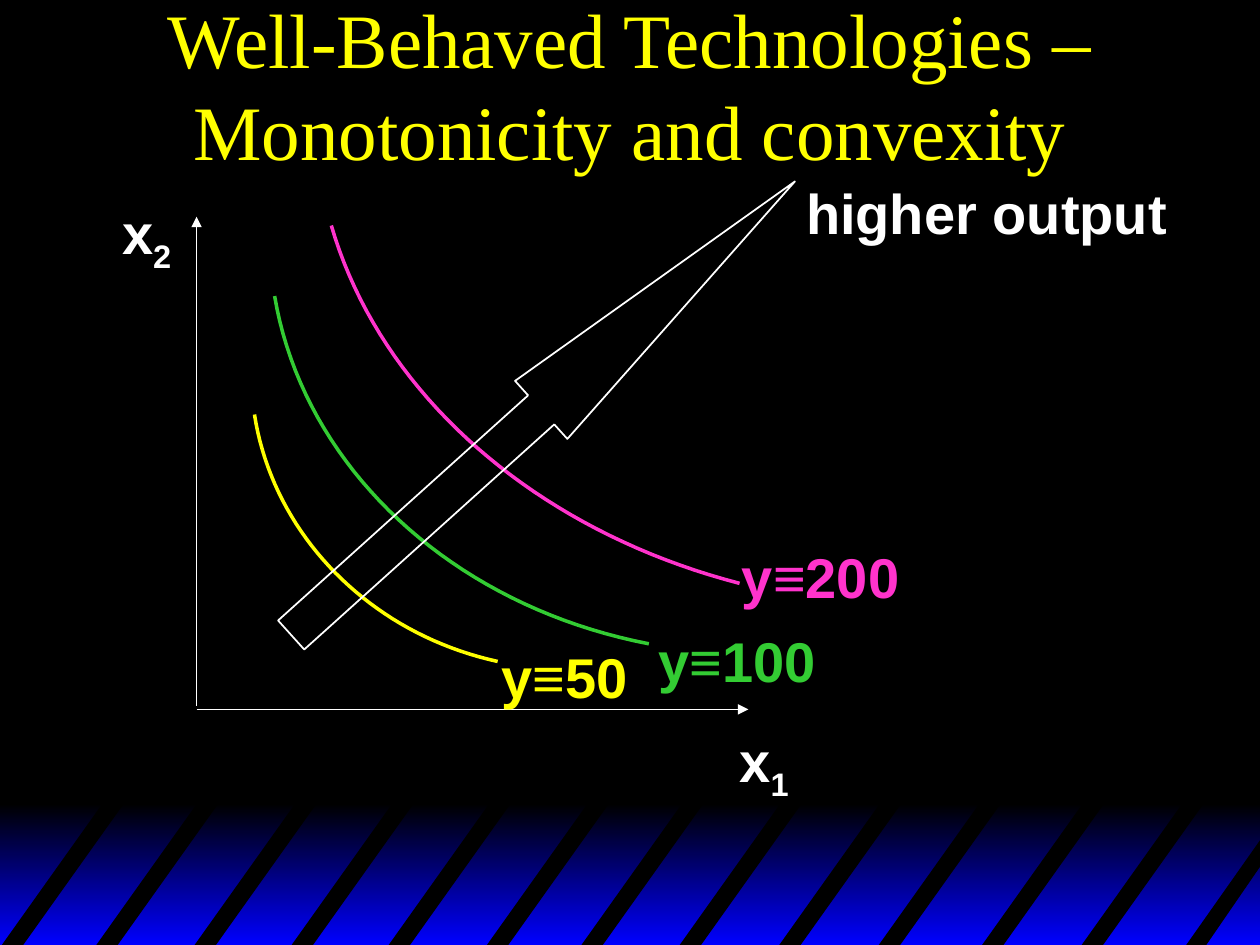
from lxml import etree
from pptx import Presentation
from pptx.dml.color import RGBColor
from pptx.enum import shapes, text
from pptx.oxml.ns import qn
from pptx.util import Inches, Pt

BLACK = RGBColor(0x00, 0x00, 0x00)
BLUE = RGBColor(0x00, 0x00, 0xFF)
WHITE = RGBColor(0xFF, 0xFF, 0xFF)
YELLOW = RGBColor(0xFF, 0xFF, 0x00)
GREEN = RGBColor(0x33, 0xCC, 0x33)
PINK = RGBColor(0xFF, 0x33, 0xCC)

TITLE = "Well-Behaved Technologies – Monotonicity and convexity"

# Text, subscript, colour, (left, top, width, height)
LABELS = [
    ("x", "2", WHITE, (0.87, 1.53, 0.59, 0.71)),
    ("x", "1", WHITE, (5.77, 5.72, 0.59, 0.71)),
    ("y≡100", "", GREEN, (5.13, 4.92, 1.47, 0.63)),
    ("y≡50", "", YELLOW, (3.88, 5.05, 1.25, 0.63)),
    ("y≡200", "", PINK, (5.79, 4.26, 1.47, 0.63)),
    ("higher output", "", WHITE, (6.3, 1.37, 3.07, 0.63)),
]

# Isoquants: colour and the four Bezier control points
ISOQUANTS = [
    (GREEN, [(5.15, 5.11), (3.59, 4.81), (2.41, 3.71), (2.18, 2.35)]),
    (YELLOW, [(3.95, 5.25), (2.94, 5.03), (2.17, 4.25), (2.02, 3.29)]),
    (PINK, [(5.87, 4.63), (4.25, 4.21), (3.02, 3.13), (2.63, 1.79)]),
]
CURVE_STEPS = 40

AXES = [((1.56, 5.6), (1.56, 1.72)), ((1.56, 5.63), (5.94, 5.63))]

STRIPE_LEFTS = [0, 0.75, 1.53, 2.3, 3.07, 3.85, 4.6, 5.38, 6.17, 6.96, 7.78, 8.57]
STRIPE_TOP, STRIPE_BOTTOM = 6.34, 7.52
STRIPE_WIDTH, STRIPE_SLANT = 0.17, 0.84
CUT_STRIPE = [(9.4, 7.52), (10.02, 6.64), (10.02, 6.85), (9.56, 7.52)]


def add_outline(page, points, closed):
    pairs = [(Inches(x), Inches(y)) for x, y in points]
    builder = page.shapes.build_freeform(*pairs[0])
    builder.add_line_segments(pairs[1:], close=closed)
    outline = builder.convert_to_shape()
    outline.shadow.inherit = False
    return outline


def add_stripe(page, points):
    stripe = add_outline(page, points, closed=True)
    stripe.fill.solid()
    stripe.fill.fore_color.rgb = BLACK
    stripe.line.fill.background()


def add_footer_band(page):
    band = page.shapes.add_shape(shapes.MSO_SHAPE.RECTANGLE, Inches(0), Inches(6.38),
                                 Inches(10.02), Inches(1.12))
    band.shadow.inherit = False
    band.line.fill.background()
    band.fill.gradient()
    band.fill.gradient_angle = 270
    for stop, position, color in zip(band.fill.gradient_stops, (0, 1), (BLACK, BLUE)):
        stop.position = position
        stop.color.rgb = color
    for left in STRIPE_LEFTS:
        top_left = left + STRIPE_SLANT
        add_stripe(page, [(left, STRIPE_BOTTOM), (top_left, STRIPE_TOP),
                          (top_left + STRIPE_WIDTH, STRIPE_TOP),
                          (left + STRIPE_WIDTH, STRIPE_BOTTOM)])
    add_stripe(page, CUT_STRIPE)


def add_axis(page, start, end):
    axis = page.shapes.add_connector(shapes.MSO_CONNECTOR.STRAIGHT,
                                     *(Inches(value) for value in start + end))
    axis.line.color.rgb = WHITE
    axis.line.width = Pt(1)
    etree.SubElement(axis.line._get_or_add_ln(), qn("a:tailEnd"), type="triangle")
    etree.SubElement(axis._element.spPr, qn("a:effectLst"))


def bezier_point(controls, t):
    weights = ((1 - t) ** 3, 3 * t * (1 - t) ** 2, 3 * t ** 2 * (1 - t), t ** 3)
    return tuple(sum(w * point[i] for w, point in zip(weights, controls)) for i in (0, 1))


def add_isoquant(page, color, controls):
    points = [bezier_point(controls, step / CURVE_STEPS) for step in range(CURVE_STEPS + 1)]
    curve = add_outline(page, points, closed=False)
    curve.fill.background()
    curve.line.color.rgb = color
    curve.line.width = Pt(2)


def add_output_arrow(page):
    arrow = page.shapes.add_shape(shapes.MSO_SHAPE.RIGHT_ARROW, Inches(1.62), Inches(2.93),
                                  Inches(5.38), Inches(0.62))
    arrow.rotation = 318
    arrow.adjustments[0] = 0.5
    arrow.adjustments[1] = 4.37
    arrow.shadow.inherit = False
    arrow.fill.background()
    arrow.line.color.rgb = WHITE
    arrow.line.width = Pt(1)


def add_span(para, words, font, size, color):
    span = para.add_run()
    span.text = words
    span.font.name = font
    span.font.size = Pt(size)
    span.font.color.rgb = color
    return span


def add_title(page):
    box = page.shapes.add_textbox(Inches(0), Inches(0), Inches(10), Inches(1.33))
    frame = box.text_frame
    frame.word_wrap = True
    frame.vertical_anchor = text.MSO_ANCHOR.MIDDLE
    para = frame.paragraphs[0]
    para.alignment = text.PP_ALIGN.CENTER
    add_span(para, TITLE, "Times New Roman", 44, YELLOW)


def add_label(page, words, subscript, color, place):
    box = page.shapes.add_textbox(*(Inches(value) for value in place))
    box.text_frame.word_wrap = False
    box.text_frame.auto_size = text.MSO_AUTO_SIZE.SHAPE_TO_FIT_TEXT
    para = box.text_frame.paragraphs[0]
    add_span(para, words, "Arial", 32, color).font.bold = True
    if subscript:
        span = add_span(para, subscript, "Arial", 32, color)
        span.font.bold = True
        span.font._element.set("baseline", "-25000")


def main():
    deck = Presentation()
    deck.slide_width, deck.slide_height = Inches(10), Inches(7.5)
    page = deck.slides.add_slide(deck.slide_layouts[6])
    page.background.fill.solid()
    page.background.fill.fore_color.rgb = BLACK

    add_footer_band(page)
    add_title(page)
    for start, end in AXES:
        add_axis(page, start, end)
    for color, controls in ISOQUANTS:
        add_isoquant(page, color, controls)
    add_output_arrow(page)
    for label in LABELS:
        add_label(page, *label)
    deck.save("out.pptx")


if __name__ == "__main__":
    main()
